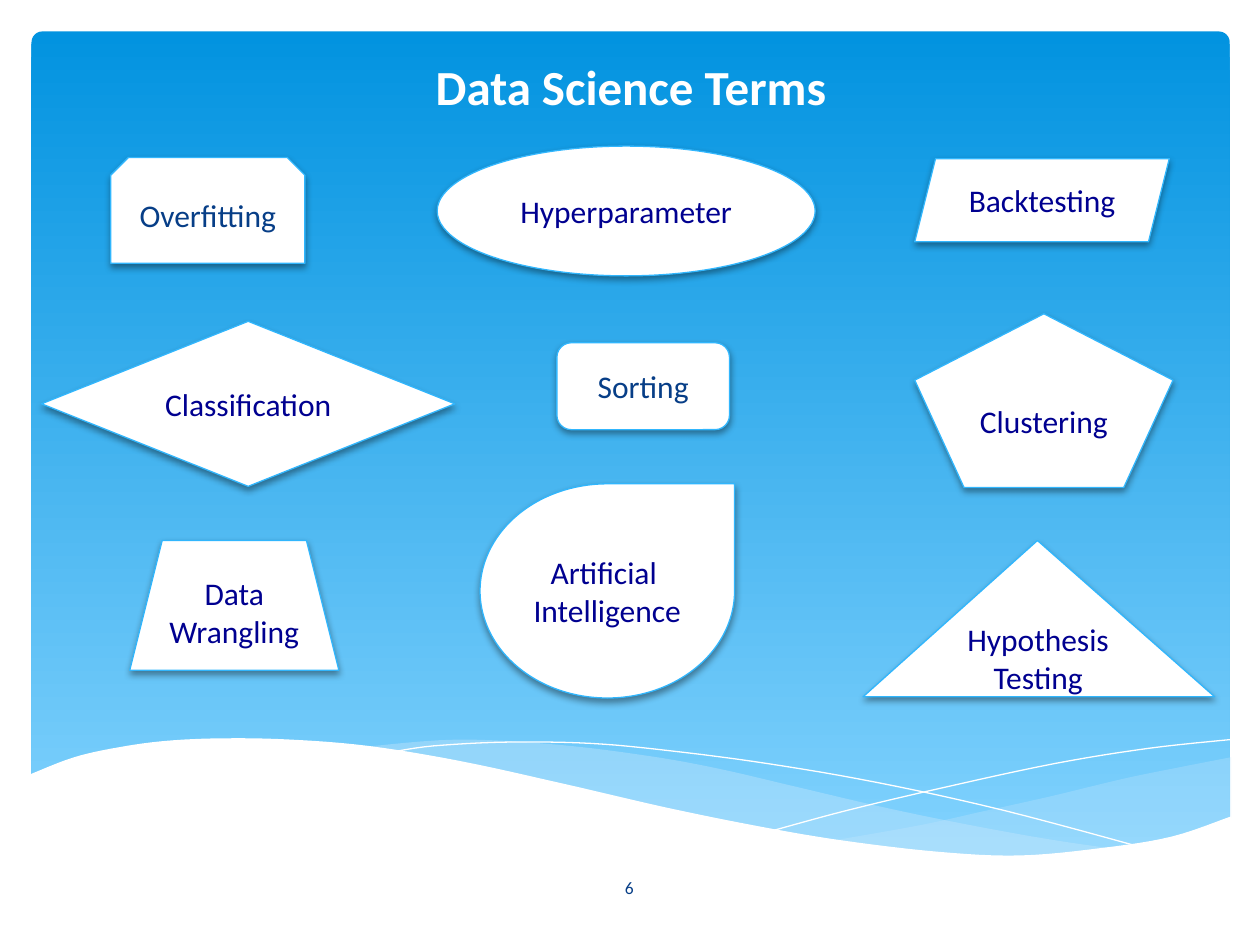
import pptx
import pptx.dml.color
import pptx.enum.shapes
import pptx.enum.text
import pptx.oxml.ns
import pptx.util
from lxml import etree

COLORS = {
    "white": "FFFFFF",
    "sky_top": "0293E0",
    "sky_bottom": "83D3FE",
    "mist": "C6E7FC",
    "outline": "31B6FD",
    "blue": "073E87",
    "navy": "000090",
    "shadow": "000000",
}
COLUMNS, ROWS = 100, 75
SHAPES = pptx.enum.shapes.MSO_SHAPE
ALIGN = pptx.enum.text.PP_ALIGN
ANCHOR = pptx.enum.text.MSO_ANCHOR

RIGHT_MIST = [
    [(97.7, 60.1), (93.6, 60.9), (89.2, 61.8), (83.4, 63.2), (78, 64.4), (73, 65.5), (66.2, 66.7)],
    [(66.2, 66.7), (71.9, 67.4), (77, 67.9), (81.5, 68), (86.4, 67.7), (90.7, 67.1), (94.4, 66.1), (97.7, 64.9)],
]
CENTER_MIST = [
    [(89.4, 67.5), (83.8, 66.7), (77.6, 65.6), (70.7, 64.2), (63, 62.4), (57, 61), (51.5, 60),
     (44.2, 59.1), (36.2, 58.7), (28.7, 59.3)],
    [(28.7, 59.3), (34.3, 60.1), (40.5, 61.3), (49.1, 63.4), (56.7, 65), (63.5, 66.3), (69.6, 67.2),
     (74.9, 67.8), (80.8, 68), (85.9, 67.9), (89.4, 67.5)],
]
FALLING_LINE = [(31, 59.7), (34.4, 59.2), (40.2, 58.9), (46.9, 59), (53.3, 59.6), (60.9, 60.6),
                (69.6, 62.1), (79.6, 64.3), (90.8, 67.3)]
RISING_LINE = [(61.4, 65.9), (67.3, 64.3), (74.9, 62.5), (83.7, 60.6), (91.1, 59.4), (97.6, 58.7)]
FOREGROUND = [
    [(97.7, 64.8), (93, 66.4), (87.5, 67.3), (80.9, 67.9), (74.4, 67.6), (66.8, 66.7), (60.3, 65.6),
     (52.9, 64.1), (44.7, 62.2), (36.5, 60.4), (29.2, 59.2), (23, 58.7), (17.7, 58.6), (13.2, 58.8),
     (9.5, 59.3), (5.9, 60.1), (2.3, 61.5)],
    [(2.3, 73.1), (97.7, 73.1)],
]
TERMS = [
    (SHAPES.SNIP_2_SAME_RECTANGLE, (8.8, 12.5, 15.4, 8.4), "Overfitting", "blue"),
    (SHAPES.ROUNDED_RECTANGLE, (44.2, 27.2, 13.7, 6.9), "Sorting", "blue"),
    (SHAPES.TRAPEZOID, (10.3, 42.9, 16.6, 10.3), "Data Wrangling", "navy"),
    (SHAPES.ISOSCELES_TRIANGLE, (68.5, 42.9, 27.9, 12.4), "Hypothesis Testing", "navy"),
    (SHAPES.PARALLELOGRAM, (72.6, 12.6, 20.2, 6.6), "Backtesting", "navy"),
    (SHAPES.DIAMOND, (3.3, 25.5, 32.8, 13.1), "Classification", "navy"),
    (SHAPES.OVAL, (34.7, 11.6, 30, 10.3), "Hyperparameter", "navy"),
    (SHAPES.REGULAR_PENTAGON, (72.6, 24.9, 20.5, 13.8), "Clustering", "navy"),
    (SHAPES.TEAR, (38.1, 38.4, 20.2, 17), "Artificial \nIntelligence", "navy"),
]


def smooth(points, steps=6):
    padded = [points[0], *points, points[-1]]
    curve = []
    for a, b, c, d in zip(padded, padded[1:], padded[2:], padded[3:]):
        for step in range(steps):
            t = step / steps
            curve.append(tuple(
                q + t * (r - p) / 2 + t**2 * (2 * p - 5 * q + 4 * r - s) / 2
                + t**3 * (3 * q - p - 3 * r + s) / 2
                for p, q, r, s in zip(a, b, c, d)
            ))
    return curve + [points[-1]]


class SlideBuilder:
    def __init__(self, presentation, font="Calibri"):
        self.font = font
        self.slide = presentation.slides.add_slide(presentation.slide_layouts[6])
        self.column = presentation.slide_width / COLUMNS
        self.row = presentation.slide_height / ROWS

    def place(self, x, y):
        return round(x * self.column), round(y * self.row)

    def color(self, name):
        return pptx.dml.color.RGBColor.from_string(COLORS[name])

    def fill(self, shape, name, opacity=100):
        shape.fill.solid()
        shape.fill.fore_color.rgb = self.color(name)
        if opacity < 100:
            color = shape._element.spPr.find(".//" + pptx.oxml.ns.qn("a:srgbClr"))
            etree.SubElement(color, pptx.oxml.ns.qn("a:alpha"), val=str(opacity * 1000))

    def label(self, shape, text, size, color, align=ALIGN.CENTER, anchor=ANCHOR.MIDDLE, bold=False):
        frame = shape.text_frame
        frame.text = text
        frame.word_wrap = True
        frame.vertical_anchor = anchor
        for paragraph in frame.paragraphs:
            paragraph.alignment = align
            for run in paragraph.runs:
                run.font.name = self.font
                run.font.size = pptx.util.Pt(size)
                run.font.bold = bold
                run.font.color.rgb = self.color(color)

    def shape(self, kind, box):
        shape = self.slide.shapes.add_shape(kind, *self.place(*box[:2]), *self.place(*box[2:]))
        shape.shadow.inherit = False
        return shape

    def backdrop(self, box):
        shape = self.shape(SHAPES.ROUNDED_RECTANGLE, box)
        shape.adjustments[0] = 0.013
        shape.fill.gradient()
        shape.fill.gradient_angle = 270
        for stop, name in zip(shape.fill.gradient_stops, ("sky_top", "sky_bottom")):
            stop.color.rgb = self.color(name)
        shape.line.fill.background()

    def outline(self, points, close):
        start, *rest = [self.place(*point) for point in points]
        builder = self.slide.shapes.build_freeform(*start)
        builder.add_line_segments(rest, close=close)
        shape = builder.convert_to_shape()
        shape.shadow.inherit = False
        return shape

    def wave(self, edges, color, opacity=100):
        shape = self.outline([point for edge in edges for point in smooth(edge)], True)
        self.fill(shape, color, opacity)
        shape.line.fill.background()

    def curve(self, points):
        shape = self.outline(smooth(points), False)
        shape.fill.background()
        shape.line.color.rgb = self.color("white")
        shape.line.width = pptx.util.Pt(0)

    def text(self, box, text, size, color, **style):
        shape = self.slide.shapes.add_textbox(*self.place(*box[:2]), *self.place(*box[2:]))
        self.label(shape, text, size, color, **style)

    def term(self, kind, box, text, color):
        shape = self.shape(kind, box)
        self.fill(shape, "white")
        shape.line.color.rgb = self.color("outline")
        shape.line.width = pptx.util.Pt(0.75)
        if kind == SHAPES.ISOSCELES_TRIANGLE:
            shape.adjustments[0] = 0.496
        effects = shape._element.spPr.find(pptx.oxml.ns.qn("a:effectLst"))
        shadow = etree.SubElement(
            effects, pptx.oxml.ns.qn("a:outerShdw"), blurRad=str(pptx.util.Pt(4)),
            dist=str(pptx.util.Pt(2)), dir="5400000", rotWithShape="0")
        tint = etree.SubElement(shadow, pptx.oxml.ns.qn("a:srgbClr"), val=COLORS["shadow"])
        etree.SubElement(tint, pptx.oxml.ns.qn("a:alpha"), val="38000")
        self.label(shape, text, 18, color)


def main():
    presentation = pptx.Presentation()
    presentation.slide_width = pptx.util.Inches(10)
    presentation.slide_height = pptx.util.Inches(7.5)
    builder = SlideBuilder(presentation)
    builder.backdrop((2.5, 2.5, 95.1, 66))
    builder.wave(RIGHT_MIST, "mist", 29)
    builder.wave(CENTER_MIST, "mist", 40)
    builder.curve(FALLING_LINE)
    builder.curve(RISING_LINE)
    builder.wave(FOREGROUND, "white")
    builder.text((43.6, 68.4, 12.7, 4), "6", 10, "blue")
    builder.text((33.6, 4, 52.1, 5.7), "Data Science Terms", 28, "white",
                 align=ALIGN.LEFT, anchor=ANCHOR.TOP, bold=True)
    for term in TERMS:
        builder.term(*term)
    presentation.save("out.pptx")


if __name__ == "__main__":
    main()
